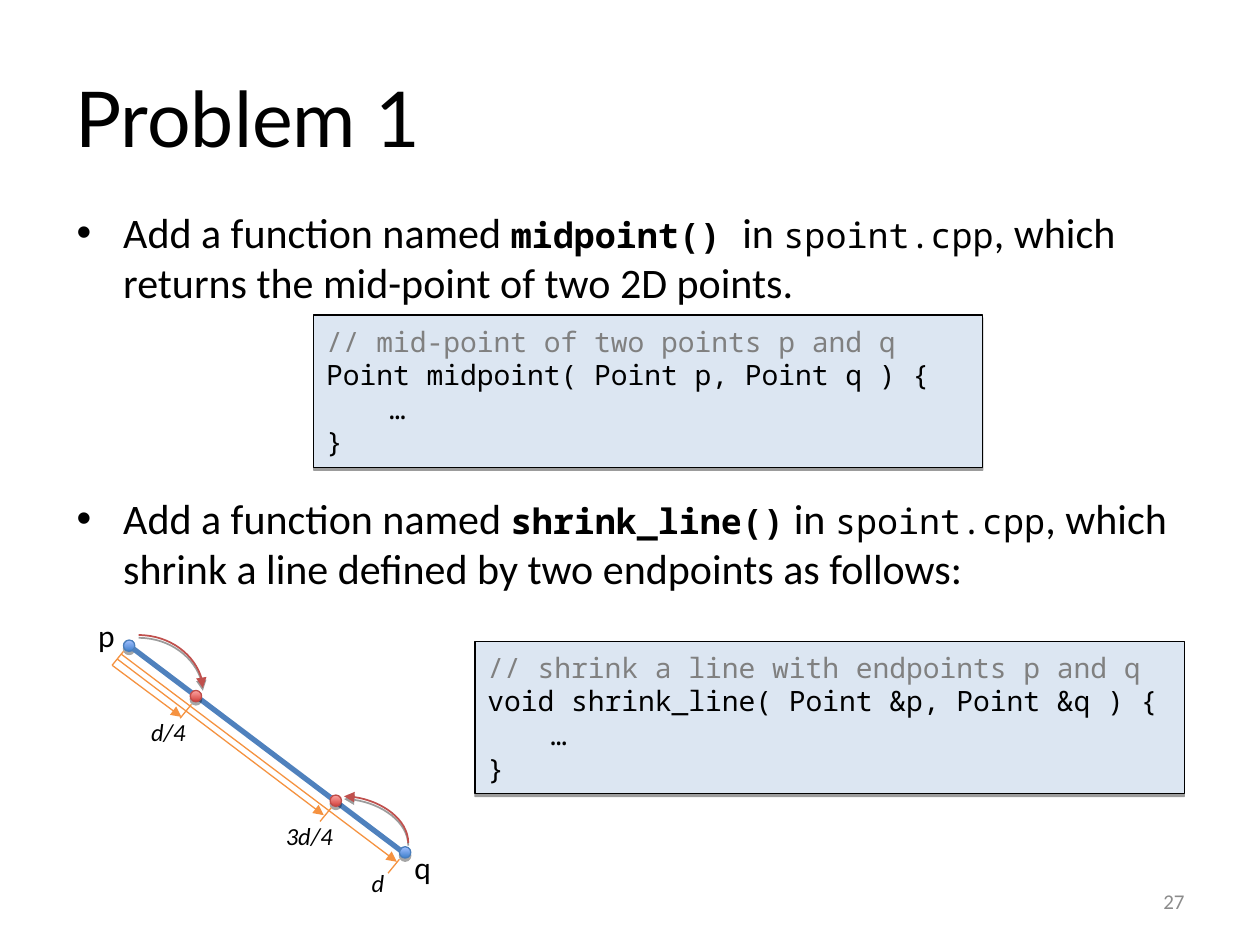
from dataclasses import dataclass

import pptx
import pptx.dml.color
import pptx.enum.shapes
import pptx.enum.text
import pptx.oxml
import pptx.oxml.ns
import pptx.util

Inches = pptx.util.Inches
Pt = pptx.util.Pt
SHAPES = pptx.enum.shapes.MSO_SHAPE
CONNECTORS = pptx.enum.shapes.MSO_CONNECTOR
ALIGN = pptx.enum.text.PP_ALIGN
ANCHOR = pptx.enum.text.MSO_ANCHOR
qn = pptx.oxml.ns.qn
NAMESPACE = pptx.oxml.ns.nsdecls("a")

TITLE = {"name": "Lato", "size": Pt(44)}
BODY = {"name": "Calibri", "size": Pt(24)}
INLINE_CODE = {"name": "Noto Sans Mono", "size": Pt(20)}
FUNCTION = INLINE_CODE | {"bold": True}
CODE = {"name": "Noto Sans Mono", "size": Pt(16)}
POINT_NAME = {"name": "Calibri", "size": Pt(18)}
DISTANCE = {"name": "Calibri", "size": Pt(14), "italic": True}
PAGE = {"name": "Calibri", "size": Pt(12)}

ORANGE = "F59240"
BLUE_DOT = ("3E7FCC", "A4C1FF", "4A7EBB")
RED_DOT = ("D03F3B", "FFA7A4", "BE4B48")


@dataclass
class Box:
    left: float
    top: float
    width: float
    height: float

    def lengths(self) -> list:
        return [Inches(value) for value in (self.left, self.top, self.width, self.height)]


@dataclass
class Line:
    start: tuple
    end: tuple
    color: str = ORANGE
    width: float = 0.75
    arrow: bool = False


@dataclass
class Label:
    text: str
    box: Box
    style: dict


@dataclass
class Dot:
    left: float
    top: float
    colors: tuple


@dataclass
class CodeBox:
    box: Box
    lines: list


@dataclass
class Bullet:
    top: float
    runs: list


BULLETS = [
    Bullet(1.59, [("Add a function named ", BODY), ("midpoint() ", FUNCTION), ("in ", BODY),
                  ("spoint.cpp", INLINE_CODE),
                  (", which returns the mid-point of two 2D points.", BODY)]),
    Bullet(3.86, [("Add a function named ", BODY), ("shrink_line()", FUNCTION), (" in ", BODY),
                  ("spoint.cpp", INLINE_CODE),
                  (", which shrink a line defined by two endpoints as follows:", BODY)]),
]
CODE_BOXES = [
    CodeBox(Box(2.49, 2.5, 5.31, 1.21),
            ["// mid-point of two points p and q", "Point midpoint( Point p, Point q ) {", "\t…", "}"]),
    CodeBox(Box(3.77, 5.09, 5.63, 1.21),
            ["// shrink a line with endpoints p and q", "void shrink_line( Point &p, Point &q ) {", "\t…", "}"]),
]
LABELS = [
    Label("p", Box(0.68, 4.84, 0.35, 0.4), POINT_NAME),
    Label("q", Box(3.19, 6.68, 0.35, 0.4), POINT_NAME),
    Label("d", Box(2.85, 6.84, 0.32, 0.33), DISTANCE),
    Label("3d/4", Box(2.17, 6.47, 0.63, 0.33), DISTANCE),
    Label("d/4", Box(1.1, 5.64, 0.51, 0.33), DISTANCE),
]
DIMENSIONS = [
    Line((0.96, 5.19), (3.15, 6.84), arrow=True),
    Line((0.89, 5.28), (1.44, 5.69), arrow=True),
    Line((0.93, 5.23), (2.57, 6.47), arrow=True),
]
TICKS = [Line((left, bottom), (left + 0.09, bottom - 0.11))
         for left, bottom in [(0.89, 5.28), (1.43, 5.7), (2.54, 6.52), (3.08, 6.93)]]
END_DOTS = [Dot(0.98, 5.08, BLUE_DOT), Dot(3.17, 6.72, BLUE_DOT)]
INNER_DOTS = [Dot(1.51, 5.48, RED_DOT), Dot(2.62, 6.31, RED_DOT)]
SEGMENT = Line((1.06, 5.15), (3.18, 6.75), "4F81BD", 3)
CURVES = [
    (Line((1.1, 5.04), (1.61, 5.46), "C0504D", 1, True), 0),
    (Line((2.8, 6.76), (3.17, 6.25), "C0504D", 1, True), 270),
]


def set_color(color_format, value: str) -> None:
    color_format.rgb = pptx.dml.color.RGBColor.from_string(value)


def add_run(paragraph, text: str, style: dict, color: str = "000000") -> None:
    run = paragraph.add_run()
    run.text = text
    for name, value in style.items():
        setattr(run.font, name, value)
    set_color(run.font.color, color)


def add_shadow(shape, alpha: int = 38, distance: float = 1.6) -> None:
    properties = shape._element.spPr
    for effects in properties.findall(qn("a:effectLst")):
        properties.remove(effects)
    properties.append(pptx.oxml.parse_xml(
        f'<a:effectLst {NAMESPACE}><a:outerShdw blurRad="0" dist="{Pt(distance)}" dir="5400000" '
        f'rotWithShape="0"><a:srgbClr val="000000"><a:alpha val="{alpha * 1000}"/></a:srgbClr>'
        f'</a:outerShdw></a:effectLst>'))


def add_text(slide, box: Box, runs: list, color: str = "000000", wrap: bool = True,
             anchor=ANCHOR.TOP, align=ALIGN.LEFT):
    frame = slide.shapes.add_textbox(*box.lengths()).text_frame
    frame.word_wrap = wrap
    frame.vertical_anchor = anchor
    paragraph = frame.paragraphs[0]
    paragraph.alignment = align
    for text, style in runs:
        add_run(paragraph, text, style, color)
    return paragraph


def add_bullet(slide, bullet: Bullet) -> None:
    paragraph = add_text(slide, Box(0.5, bullet.top, 9, 1), bullet.runs)
    properties = paragraph._p.get_or_add_pPr()
    properties.set("marL", str(Inches(0.38)))
    properties.set("indent", str(Inches(-0.37)))
    for element in ('buClr {}><a:srgbClr val="000000"/></a:buClr>',
                    'buFont {} typeface="Arial"/>', 'buChar {} char="•"/>'):
        properties.append(pptx.oxml.parse_xml("<a:" + element.format(NAMESPACE)))


def add_code_box(slide, code: CodeBox) -> None:
    shape = slide.shapes.add_shape(SHAPES.RECTANGLE, *code.box.lengths())
    shape.fill.solid()
    set_color(shape.fill.fore_color, "DCE6F2")
    set_color(shape.line.color, "000000")
    shape.line.width = Pt(0.75)
    add_shadow(shape)
    frame = shape.text_frame
    frame.word_wrap = True
    frame.vertical_anchor = ANCHOR.MIDDLE
    for index, text in enumerate(code.lines):
        paragraph = frame.add_paragraph() if index else frame.paragraphs[0]
        paragraph.alignment = ALIGN.LEFT
        add_run(paragraph, text, CODE, "000000" if index else "808080")


def add_dot(slide, dot: Dot) -> None:
    shape = slide.shapes.add_shape(SHAPES.OVAL, *Box(dot.left, dot.top, 0.09, 0.09).lengths())
    dark, light, outline = dot.colors
    shape.fill.gradient()
    shape.fill.gradient_angle = 90
    for stop, color in zip(shape.fill.gradient_stops, (dark, light)):
        set_color(stop.color, color)
    set_color(shape.line.color, outline)
    shape.line.width = Pt(0.75)
    add_shadow(shape, 35, 1.8)


def add_line(slide, line: Line, kind=CONNECTORS.STRAIGHT):
    ends = [Inches(value) for value in (*line.start, *line.end)]
    connector = slide.shapes.add_connector(kind, *ends)
    set_color(connector.line.color, line.color)
    connector.line.width = Pt(line.width)
    if line.arrow:
        connector.line._get_or_add_ln().append(
            pptx.oxml.parse_xml(f'<a:tailEnd {NAMESPACE} type="triangle"/>'))
    connector._element.spPr.append(pptx.oxml.parse_xml(f"<a:effectLst {NAMESPACE}/>"))
    return connector


def add_curve(slide, line: Line, rotation: int) -> None:
    connector = add_line(slide, line, CONNECTORS.CURVE)
    properties = connector._element.spPr
    properties.find(qn("a:prstGeom")).set("prst", "curvedConnector2")
    properties.find(qn("a:xfrm")).set("rot", str(rotation * 60000))
    add_shadow(connector)


def main() -> None:
    presentation = pptx.Presentation()
    presentation.slide_width, presentation.slide_height = Inches(10), Inches(7.5)
    slide = presentation.slides.add_slide(presentation.slide_layouts[6])
    add_text(slide, Box(0.5, 0.3, 9, 1.25), [("Problem 1", TITLE)], anchor=ANCHOR.MIDDLE)
    add_text(slide, Box(7.17, 6.95, 2.33, 0.4), [("27", PAGE)], "8B8B8B",
             anchor=ANCHOR.MIDDLE, align=ALIGN.RIGHT)
    for bullet in BULLETS:
        add_bullet(slide, bullet)
    for code in CODE_BOXES:
        add_code_box(slide, code)
    for label in LABELS:
        add_text(slide, label.box, [(label.text, label.style)], wrap=False)
    for line in DIMENSIONS:
        add_line(slide, line)
    for dot in END_DOTS:
        add_dot(slide, dot)
    add_line(slide, SEGMENT)
    for dot in INNER_DOTS:
        add_dot(slide, dot)
    for tick in TICKS:
        add_line(slide, tick)
    for line, rotation in CURVES:
        add_curve(slide, line, rotation)
    presentation.save("out.pptx")


if __name__ == "__main__":
    main()
